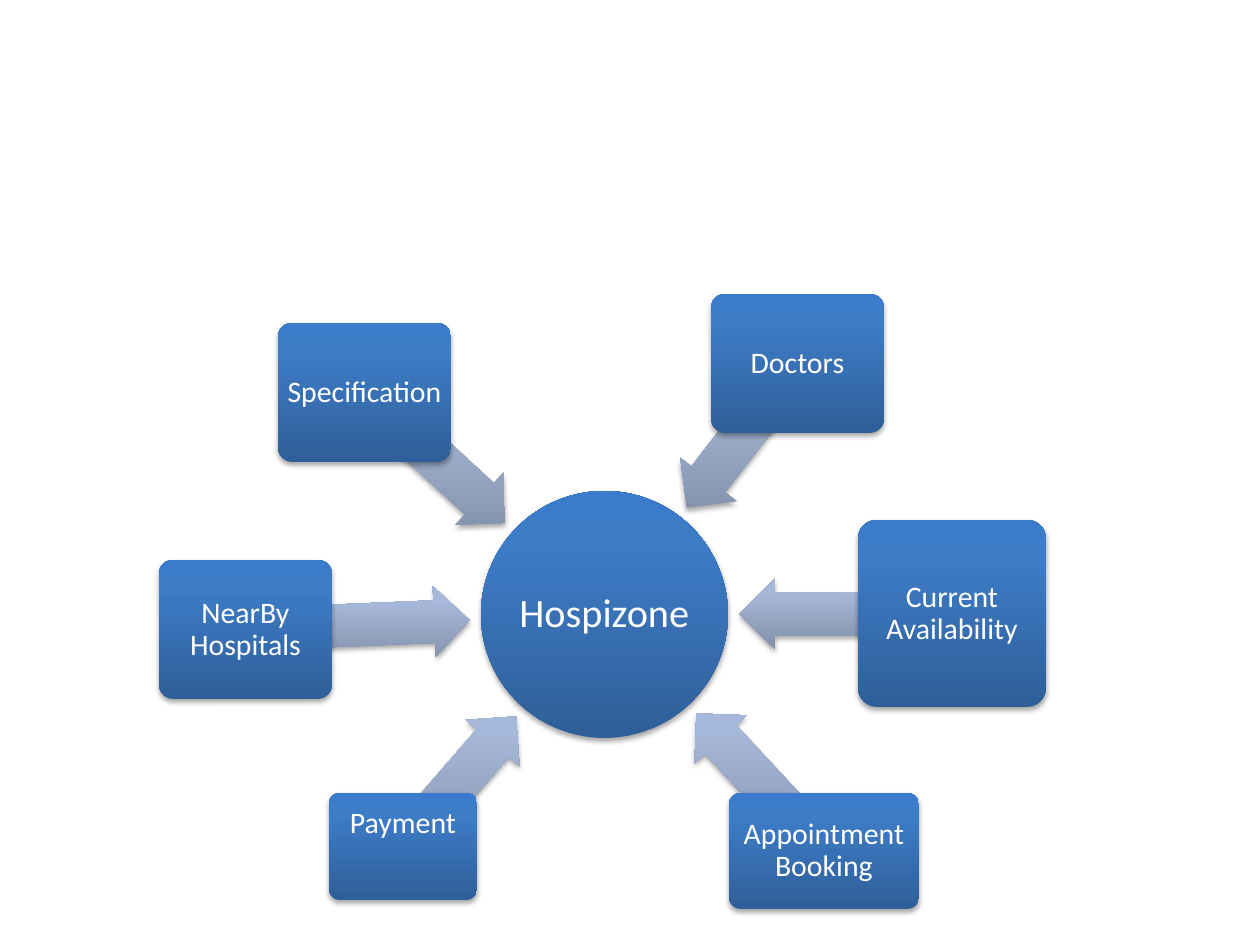
import math

from lxml import etree
from pptx import Presentation
from pptx import util as u
from pptx.dml import color
from pptx.enum import shapes, text
from pptx.oxml import ns

PX = 7257.14  # EMU per px, 126 px to the inch
BLUE = [(0, "2F5F99"), (80, "3D7CC7"), (100, "3A7CCB")]
PALE = [(0, "818FA8"), (80, "A7B9DA"), (100, "A7BADC")]


def px(length):
    return u.Emu(round(length * PX))


def rgb(value):
    return color.RGBColor.from_string(value)


def child(parent, tag, **attributes):
    return etree.SubElement(parent, ns.qn(tag), attributes)


class Diagram:
    font = "Calibri"
    ink = "FFFFFF"
    arrow_height = 71
    arrow_reach = 135  # distance from arrow tip to hub centre

    def __init__(self, slide):
        self.slide = slide

    def shape(self, kind, left, top, width, height, stops):
        shape = self.slide.shapes.add_shape(
            kind, px(left), px(top), px(width), px(height))
        shape.line.fill.background()
        # Upward gradient that stays upright when the shape is turned
        shape.fill.gradient()
        gradient = shape._element.spPr.find(ns.qn("a:gradFill"))
        gradient.set("rotWithShape", "0")
        for part in list(gradient):
            gradient.remove(part)
        stop_list = child(gradient, "a:gsLst")
        for position, value in stops:
            stop = child(stop_list, "a:gs", pos=str(position * 1000))
            child(stop, "a:srgbClr", val=value)
        child(gradient, "a:lin", ang="16200000", scaled="0")
        # Soft shadow below
        shape.shadow.inherit = False
        effects = shape._element.spPr.find(ns.qn("a:effectLst"))
        shadow = child(effects, "a:outerShdw", blurRad="39370", dist="22860",
                       dir="5400000", rotWithShape="0")
        black = child(shadow, "a:srgbClr", val="000000")
        child(black, "a:alpha", val="35000")
        return shape

    def label(self, shape, words, size, inset):
        frame = shape.text_frame
        frame.word_wrap = True
        frame.vertical_anchor = text.MSO_ANCHOR.MIDDLE
        frame.margin_left = frame.margin_right = px(inset)
        frame.margin_top = frame.margin_bottom = px(inset)
        frame.text = words
        para = frame.paragraphs[0]
        para.alignment = text.PP_ALIGN.CENTER
        para.line_spacing = 0.9
        span = para.runs[0]
        span.font.name = self.font
        span.font.size = u.Pt(size)
        span.font.color.rgb = rgb(self.ink)

    def hub(self, words, left, top, size):
        self.centre = (left + size / 2, top + size / 2)
        circle = self.shape(shapes.MSO_SHAPE.OVAL, left, top, size, size, BLUE)
        self.label(circle, words, 23, 2)

    def arrow(self, x, y):
        """Arrow from the point (x, y) towards the hub."""
        dx, dy = self.centre[0] - x, self.centre[1] - y
        distance = math.hypot(dx, dy)
        length = distance - self.arrow_reach
        share = length / distance / 2
        arrow = self.shape(
            shapes.MSO_SHAPE.LEFT_ARROW, x + dx * share - length / 2,
            y + dy * share - self.arrow_height / 2,
            length, self.arrow_height, PALE)
        arrow.adjustments[0] = 0.6
        arrow.adjustments[1] = 0.5
        arrow.rotation = math.degrees(math.atan2(dy, dx)) + 180

    def box(self, words, left, top, width, height):
        self.arrow(left + width / 2, top + height / 2)
        box = self.shape(shapes.MSO_SHAPE.ROUNDED_RECTANGLE,
                         left, top, width, height, BLUE)
        box.adjustments[0] = 0.1
        self.label(box, words, 17, 5)
        return box


def main():
    deck = Presentation()
    deck.slide_width, deck.slide_height = u.Inches(10), u.Inches(7.5)
    page = deck.slides.add_slide(deck.slide_layouts[6])
    diagram = Diagram(page)

    # Centre
    diagram.hub("Hospizone", 481, 491, 247)

    # Surrounding boxes, each with its arrow
    diagram.box("NearBy Hospitals", 159, 560, 173, 139)
    diagram.box("Specification", 278, 323, 173, 139)
    diagram.box("Doctors", 711, 294, 173, 139)
    diagram.box("Current Availability", 858, 520, 188, 187)
    diagram.box("Appointment Booking", 729, 793, 190, 116)
    payment = diagram.box("Payment", 329, 793, 148, 107)

    # The payment label sits near the top of its box
    payment.text_frame.vertical_anchor = text.MSO_ANCHOR.TOP
    payment.text_frame.margin_top = px(12)

    deck.save("out.pptx")


if __name__ == "__main__":
    main()
